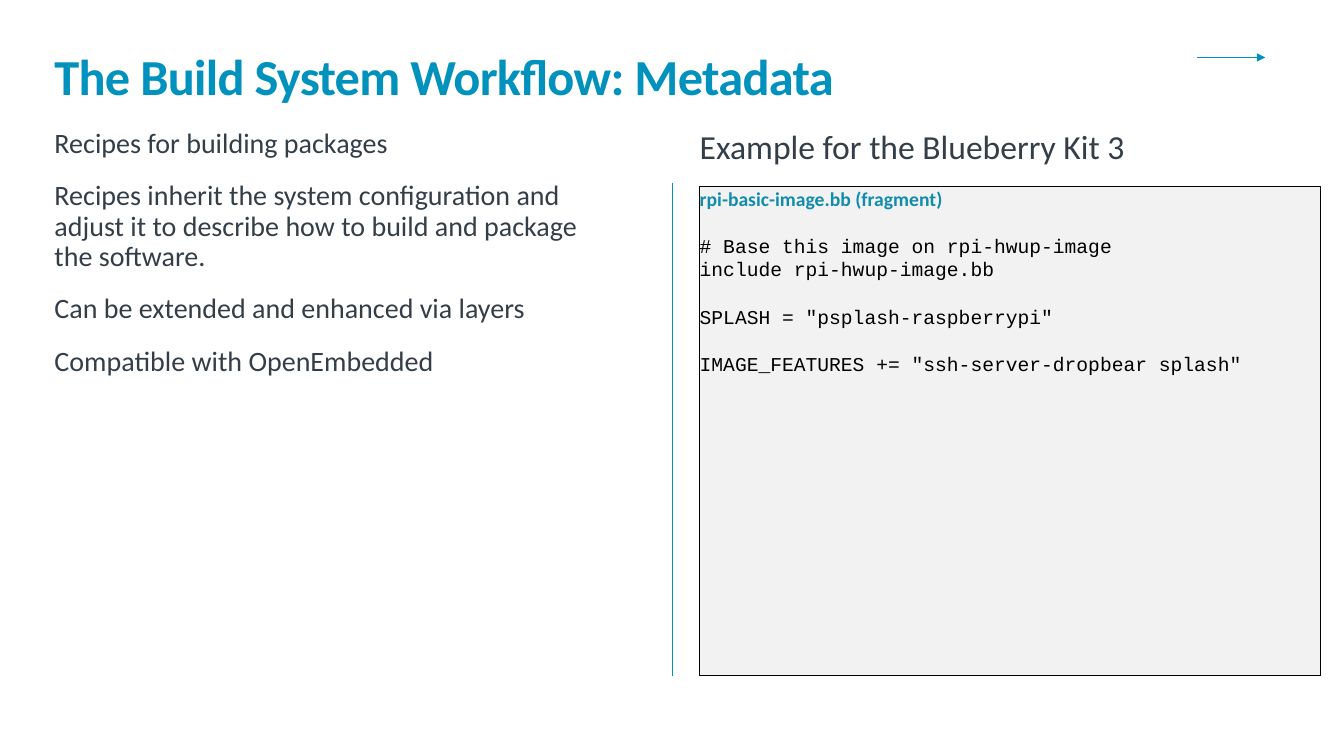
from lxml import etree
from pptx import Presentation
from pptx.dml.color import RGBColor
from pptx.enum.shapes import MSO_CONNECTOR as CONNECTOR, MSO_SHAPE as SHAPE
from pptx.enum.text import MSO_ANCHOR as ANCHOR, PP_ALIGN as ALIGN
from pptx.oxml.ns import qn
from pptx.util import Inches, Pt

TEAL, SLATE, BLACK = "0091BD", "333E48", "000000"
RECIPE_POINTS = [
    "Recipes for building packages",
    "Recipes inherit the system configuration and adjust it to describe "
    "how to build and package the software.",
    "Can be extended and enhanced via layers",
    "Compatible with OpenEmbedded",
]
CODE_BLOCKS = [
    ["# Base this image on rpi-hwup-image", "include rpi-hwup-image.bb"],
    ['SPLASH = "psplash-raspberrypi"'],
    ['IMAGE_FEATURES += "ssh-server-dropbear splash"'],
]


def rgb(value):
    """Turn a hex string into a colour."""
    return RGBColor.from_string(value)


def prepare_frame(frame, anchor=ANCHOR.TOP):
    """Remove the margins of a text frame, wrap it and anchor it."""
    frame.margin_left = frame.margin_right = 0
    frame.margin_top = frame.margin_bottom = 0
    frame.word_wrap = True
    frame.vertical_anchor = anchor
    return frame


def add_line(frame, text, size, color, font="Calibri", bold=False,
             spacing=None, before=0, after=0):
    """Write one paragraph, using the empty first one when it is free."""
    first = frame.paragraphs[0]
    paragraph = frame.add_paragraph() if first.runs else first
    paragraph.alignment = ALIGN.LEFT
    paragraph.space_before, paragraph.space_after = Pt(before), Pt(after)
    if spacing:
        paragraph.line_spacing = spacing
    run = paragraph.add_run()
    run.text = text
    run.font.name, run.font.size, run.font.bold = font, Pt(size), bold
    run.font.color.rgb = rgb(color)
    return run


def add_rule(slide, left, top, width, height):
    """Draw a thin teal line across the given box."""
    rule = slide.shapes.add_connector(
        CONNECTOR.STRAIGHT, Inches(left), Inches(top),
        Inches(left + width), Inches(top + height))
    rule.line.color.rgb = rgb(TEAL)
    rule.line.width = Pt(1)
    etree.SubElement(rule._element.spPr, qn("a:effectLst"))
    return rule


def add_title(slide, left, top, width, height):
    """Place the slide title at the bottom of its box."""
    title = slide.shapes.add_textbox(*map(Inches, (left, top, width, height)))
    frame = prepare_frame(title.text_frame, ANCHOR.BOTTOM)
    run = add_line(frame, "The Build System Workflow: Metadata", 36, TEAL,
                   bold=True, spacing=0.85)
    run._r.get_or_add_rPr().set("spc", "-50")


def add_body(slide, points, size, left, top, width, height):
    """Place a column of spaced body paragraphs."""
    body = slide.shapes.add_textbox(*map(Inches, (left, top, width, height)))
    frame = prepare_frame(body.text_frame)
    for point in points:
        add_line(frame, point, size, SLATE, spacing=0.9, after=16)


def add_code_panel(slide, left, top, width, height):
    """Place the grey panel with the file name and its code blocks."""
    panel = slide.shapes.add_shape(
        SHAPE.RECTANGLE, *map(Inches, (left, top, width, height)))
    panel.shadow.inherit = False
    panel.fill.solid()
    panel.fill.fore_color.rgb = rgb("F2F2F2")
    panel.line.color.rgb = rgb(BLACK)
    panel.line.width = Pt(0.75)
    frame = prepare_frame(panel.text_frame)
    add_line(frame, "rpi-basic-image.bb (fragment)", 14, "128CAB", bold=True)
    for block in CODE_BLOCKS:
        for index, code in enumerate(block):
            add_line(frame, code, 14, BLACK, font="Courier New",
                     before=0 if index else 17)


def add_arrow(slide, left, top, width):
    """Draw the arrow pointing right in the top corner."""
    arrow = add_rule(slide, left, top, width, 0)
    outline = arrow.line._get_or_add_ln()
    etree.SubElement(outline, qn("a:tailEnd"), type="triangle")


def main():
    """Build the slide and save it."""
    deck = Presentation()
    deck.slide_width, deck.slide_height = Inches(13.33), Inches(7.5)
    slide = deck.slides.add_slide(deck.slide_layouts[6])
    add_rule(slide, 6.67, 1.82, 0, 4.89)
    add_title(slide, 0.54, 0.32, 12.23, 0.73)
    add_body(slide, RECIPE_POINTS, 20, 0.54, 1.28, 5.49, 3.94)
    add_body(slide, ["Example for the Blueberry Kit 3"], 24,
             6.94, 1.29, 5.83, 0.5)
    add_code_panel(slide, 6.94, 1.85, 6.16, 4.85)
    add_arrow(slide, 11.87, 0.57, 0.68)
    deck.save("out.pptx")


if __name__ == "__main__":
    main()
